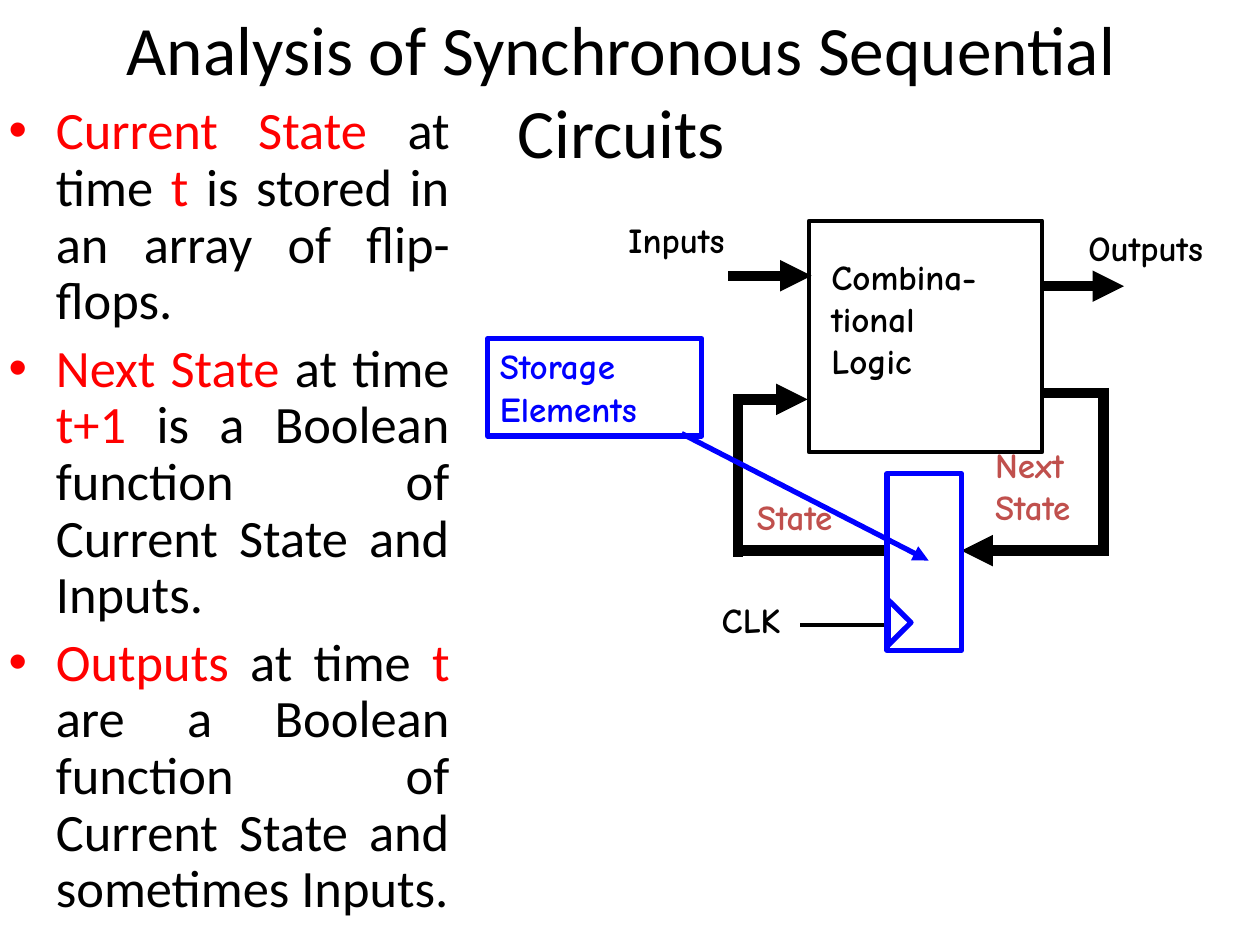
from dataclasses import dataclass

import pptx
import pptx.dml.color
import pptx.enum.shapes
import pptx.enum.text
import pptx.oxml
import pptx.oxml.ns
import pptx.util

Cm = pptx.util.Cm
Pt = pptx.util.Pt
Shapes = pptx.enum.shapes.MSO_SHAPE
Align = pptx.enum.text.PP_ALIGN

BLACK = "000000"
RED = "FF0000"
BLUE = "0000FF"
BRICK = "C0504D"


@dataclass
class Box:
    left: float
    top: float
    width: float
    height: float
    color: str
    line_width: float = 3
    preset: Shapes = Shapes.RECTANGLE
    rotation: float = 0
    text: str = ""


@dataclass
class Label:
    text: str
    left: float
    top: float
    width: float
    height: float
    color: str = BLACK


@dataclass
class Wire:
    start: tuple[float, float]
    end: tuple[float, float]
    arrow: bool = False
    color: str = BLACK
    line_width: float = 6


BULLETS = [
    [("Current State ", RED), ("at time ", BLACK), ("t", RED),
     (" is stored in an array of flip-flops.", BLACK)],
    [("Next State ", RED), ("at time ", BLACK), ("t+1 ", RED),
     ("is a Boolean function of Current State and Inputs.", BLACK)],
    [("Outputs", RED), (" at time ", BLACK), ("t", RED),
     (" are a Boolean function of Current State and sometimes Inputs.", BLACK)],
]

WIRES = [
    Wire((14.68, 5.56), (16.36, 5.56), arrow=True),
    Wire((14.91, 11.1), (17.88, 11.1)),
    Wire((14.88, 8.05), (16.28, 8.05), arrow=True),
    Wire((14.88, 7.95), (14.88, 11.23)),
    Wire((20.98, 7.92), (22.25, 7.92)),
    Wire((22.25, 7.82), (22.25, 11.2)),
    Wire((22.23, 11.1), (19.38, 11.1), arrow=True),
    Wire((20.98, 5.77), (22.66, 5.77), arrow=True),
    Wire((16.13, 12.6), (17.93, 12.6), line_width=2.25),
    Wire((13.74, 8.74), (18.72, 11.3), arrow=True, color=BLUE, line_width=3),
]

BOXES = [
    Box(16.31, 4.45, 4.7, 4.67, BLACK, line_width=2.25),
    Box(17.88, 9.55, 1.5, 3.56, BLUE),
    Box(9.83, 6.83, 4.32, 1.96, BLUE, text="Storage Elements"),
    Box(17.68, 12.32, 0.91, 0.46, BLUE, preset=Shapes.ISOSCELES_TRIANGLE, rotation=90),
]

LABELS = [
    Label("Combina-tional\nLogic", 16.51, 5.03, 4.37, 2.82),
    Label("Inputs", 12.42, 4.29, 3.07, 1.17),
    Label("State", 15.01, 9.86, 2.51, 1.12, BRICK),
    Label("Next\nState", 19.81, 8.81, 2.87, 1.96, BRICK),
    Label("Outputs", 21.69, 4.45, 3.71, 1.17),
    Label("CLK", 14.3, 11.94, 2.51, 1.17),
]


def rgb(color: str) -> pptx.dml.color.RGBColor:
    return pptx.dml.color.RGBColor.from_string(color)


def place(shape, left: float, top: float, width: float, height: float) -> None:
    shape.left, shape.top = Cm(left), Cm(top)
    shape.width, shape.height = Cm(width), Cm(height)


def format_run(run, font: str, size: float, color: str, bold: bool = False) -> None:
    run.font.name = font
    run.font.size = Pt(size)
    run.font.bold = bold
    run.font.color.rgb = rgb(color)


def write_diagram_text(text_frame, text: str, color: str) -> None:
    text_frame.text = text
    text_frame.word_wrap = True
    text_frame.vertical_anchor = pptx.enum.text.MSO_ANCHOR.TOP
    for paragraph in text_frame.paragraphs:
        paragraph.alignment = Align.LEFT
        for run in paragraph.runs:
            format_run(run, "Comic Neue", 20, color, bold=True)


def draw_box(slide, box: Box) -> None:
    shape = slide.shapes.add_shape(
        box.preset, Cm(box.left), Cm(box.top), Cm(box.width), Cm(box.height))
    shape.rotation = box.rotation
    shape.shadow.inherit = False
    shape.fill.background()
    shape.line.color.rgb = rgb(box.color)
    shape.line.width = Pt(box.line_width)
    if box.text:
        write_diagram_text(shape.text_frame, box.text, box.color)


def draw_label(slide, label: Label) -> None:
    shape = slide.shapes.add_textbox(
        Cm(label.left), Cm(label.top), Cm(label.width), Cm(label.height))
    write_diagram_text(shape.text_frame, label.text, label.color)


def draw_wire(slide, wire: Wire) -> None:
    connector = slide.shapes.add_connector(
        pptx.enum.shapes.MSO_CONNECTOR.STRAIGHT,
        *map(Cm, wire.start), *map(Cm, wire.end))
    connector.line.color.rgb = rgb(wire.color)
    connector.line.width = Pt(wire.line_width)
    properties = connector._element.spPr
    namespace = pptx.oxml.ns.nsdecls("a")
    if wire.arrow:
        line = properties.find(pptx.oxml.ns.qn("a:ln"))
        line.append(pptx.oxml.parse_xml(f'<a:tailEnd {namespace} type="triangle"/>'))
    properties.append(pptx.oxml.parse_xml(f"<a:effectLst {namespace}/>"))


def fill_title(title) -> None:
    place(title, 1.73, 0.38, 21.59, 2.84)
    title.text_frame.text = "Analysis of Synchronous Sequential Circuits"
    title.text_frame.auto_size = pptx.enum.text.MSO_AUTO_SIZE.NONE
    format_run(title.text_frame.paragraphs[0].runs[0], "Calibri", 39.6, BLACK)


def fill_body(body) -> None:
    place(body, -0.08, 1.98, 9.4, 14.1)
    text_frame = body.text_frame
    text_frame.auto_size = pptx.enum.text.MSO_AUTO_SIZE.NONE
    for index, segments in enumerate(BULLETS):
        paragraph = text_frame.add_paragraph() if index else text_frame.paragraphs[0]
        paragraph.alignment = Align.JUSTIFY
        paragraph.line_spacing = 0.9
        for text, color in segments:
            run = paragraph.add_run()
            run.text = text
            format_run(run, "Calibri", 30, color)


def main() -> None:
    presentation = pptx.Presentation()
    presentation.slide_width, presentation.slide_height = Cm(25.4), Cm(19.05)
    slide = presentation.slides.add_slide(presentation.slide_layouts[1])
    fill_title(slide.shapes.title)
    fill_body(slide.placeholders[1])
    for wire in WIRES:
        draw_wire(slide, wire)
    for box in BOXES:
        draw_box(slide, box)
    for label in LABELS:
        draw_label(slide, label)
    presentation.save("out.pptx")


if __name__ == "__main__":
    main()
